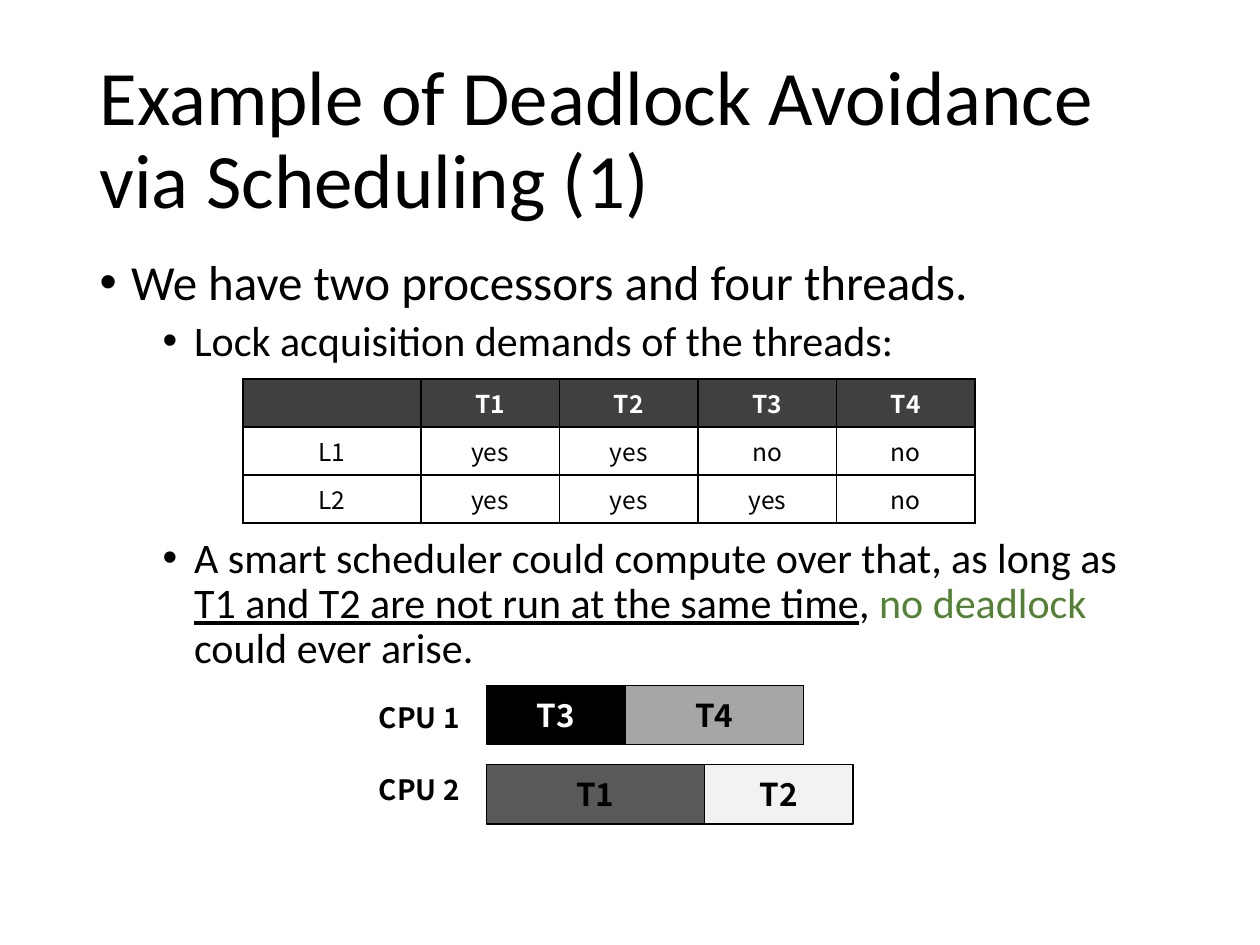
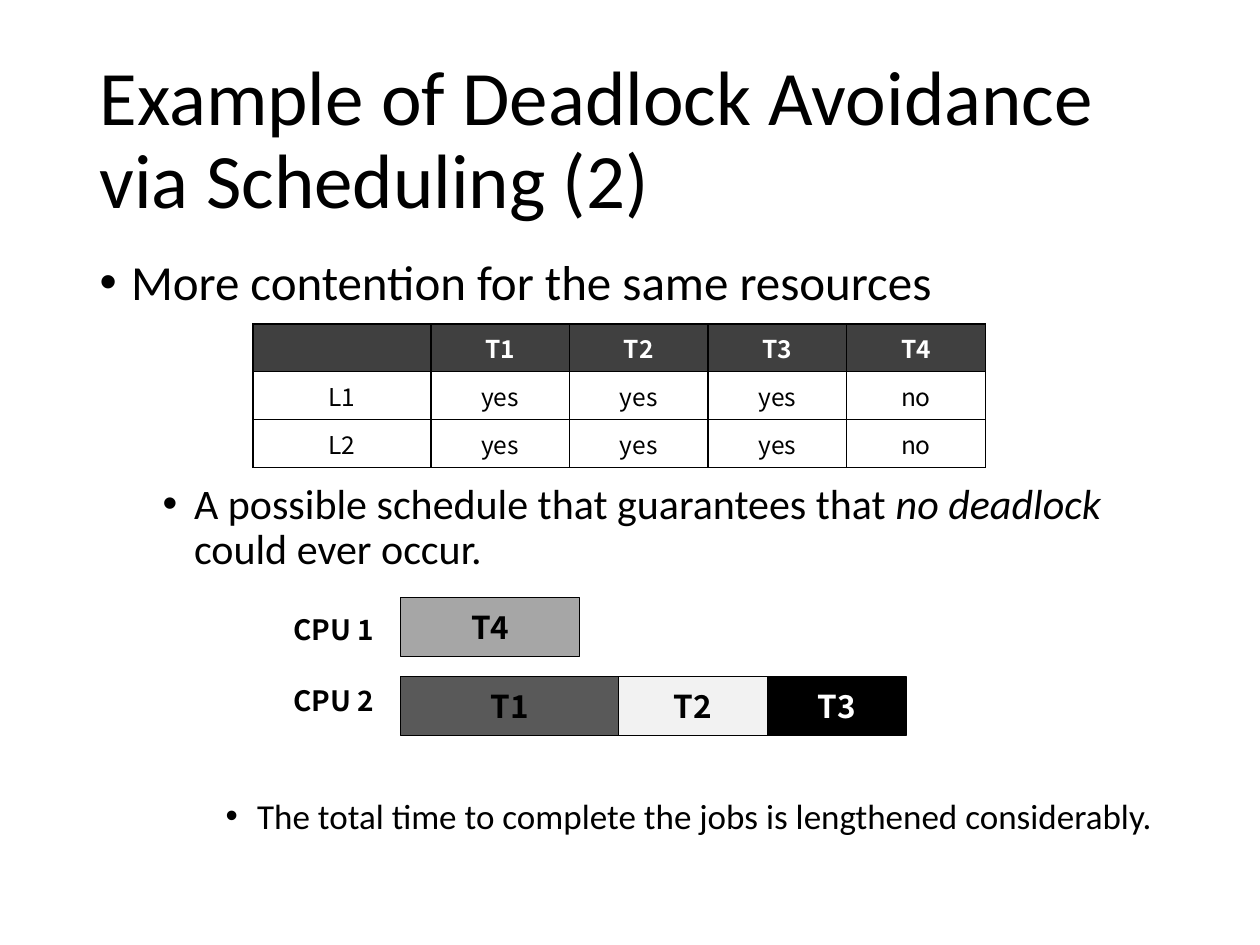
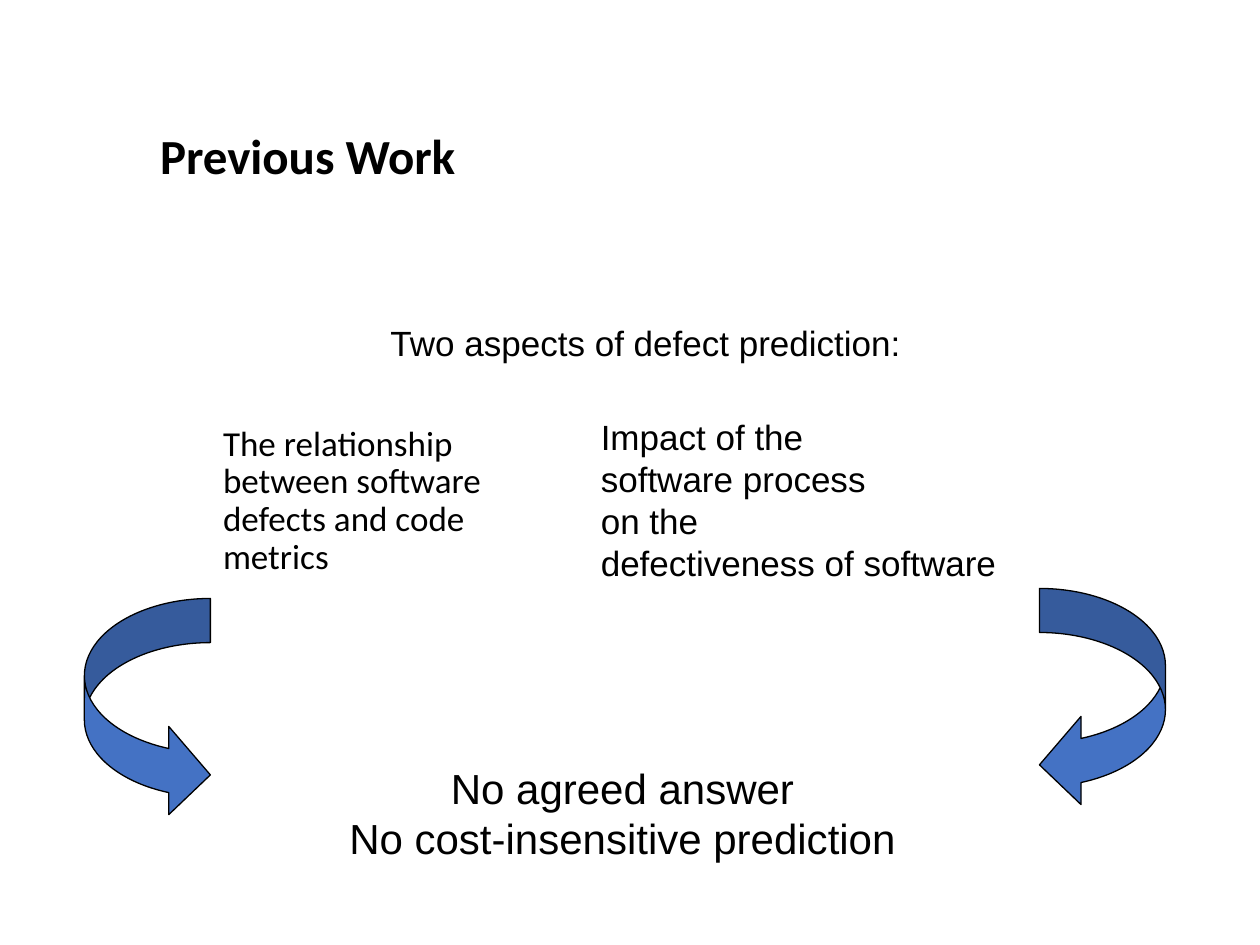
from lxml.etree import SubElement
from pptx import Presentation
from pptx.dml.color import RGBColor
from pptx.enum.shapes import MSO_SHAPE
from pptx.enum.text import MSO_ANCHOR, MSO_AUTO_SIZE, PP_ALIGN
from pptx.oxml.ns import qn
from pptx.util import Inches, Pt

# Shared look
BLACK = RGBColor(0x00, 0x00, 0x00)
WHITE = RGBColor(0xFF, 0xFF, 0xFF)
HEADER = RGBColor(0x40, 0x40, 0x40)
GREEN = RGBColor(0x54, 0x82, 0x35)
BLUE = RGBColor(0x44, 0x72, 0xC4)
MAIN_FONT, DIAGRAM_FONT, NOTE_FONT = "Calibri", "Noto Sans CJK KR", "Arial"

TITLE_BOX = (0.69, 0.4, 8.62, 1.45)
BODY_BOX = (0.69, 2, 8.62, 4.76)
LEVEL_SIZES = (28, 24, 20)
TABLE_GAP, CHART_GAP = 98, 129  # points left free in the list
ROW_H, LABEL_COL, THREAD_COL = 0.38, 1.41, 1.1
BAR_H, BAR_PITCH, BAR_OFFSET = 0.47, 0.63, 0.95

# Thread: bar width, fill, text colour
THREADS = {
    "T1": (1.73, RGBColor(0x59, 0x59, 0x59), BLACK),
    "T2": (1.18, RGBColor(0xF2, 0xF2, 0xF2), BLACK),
    "T3": (1.1, BLACK, WHITE),
    "T4": (1.42, RGBColor(0xA6, 0xA6, 0xA6), BLACK),
}


def inches(box):
    return [Inches(v) for v in box]


def style_run(r, size, name=MAIN_FONT, color=BLACK, bold=False,
              italic=False, underline=False):
    f = r.font
    f.size, f.name, f.bold = Pt(size), name, bold
    f.italic, f.underline = italic, underline
    f.color.rgb = color


def style_text(tf, size, name, color=BLACK, bold=False, align=PP_ALIGN.LEFT):
    for p in tf.paragraphs:
        p.alignment = align
        for r in p.runs:
            style_run(r, size, name, color, bold)


def place(sp, box):
    sp.left, sp.top, sp.width, sp.height = inches(box)
    sp.text_frame.auto_size = MSO_AUTO_SIZE.NONE


def add_title(s, box, text, size=44, bold=False):
    sp = s.shapes.title
    place(sp, box)
    tf = sp.text_frame
    tf.text = text
    tf.vertical_anchor = MSO_ANCHOR.MIDDLE
    style_text(tf, size, MAIN_FONT, bold=bold)
    tf.paragraphs[0].line_spacing = 0.9


def set_list_format(p, margin, indent, bullet):
    pPr = p._p.get_or_add_pPr()
    pPr.set("marL", str(Inches(margin)))
    pPr.set("indent", str(Inches(indent)))
    if bullet:
        SubElement(pPr, qn("a:buFont"), typeface="Arial")
        SubElement(pPr, qn("a:buChar"), char="•")
    else:
        SubElement(pPr, qn("a:buNone"))


def add_list(s, box, items):
    """Each item is (level, space before, runs); a run is (text, format)."""
    sp = s.placeholders[1]
    place(sp, box)
    tf = sp.text_frame
    for i, (level, space, runs) in enumerate(items):
        p = tf.add_paragraph() if i else tf.paragraphs[0]
        p.level = level
        p.line_spacing, p.space_before = 0.9, Pt(space)
        set_list_format(p, 0.25 + 0.5 * level, -0.25, True)
        for text, fmt in runs:
            r = p.add_run()
            r.text = text
            style_run(r, LEVEL_SIZES[level], **fmt)


def add_text(shapes, box, text, size, name, **fmt):
    tf = shapes.add_textbox(*inches(box)).text_frame
    tf.word_wrap = False
    tf.text = text
    style_text(tf, size, name, **fmt)


def set_borders(cell):
    tcPr = cell._tc.get_or_add_tcPr()
    for i, side in enumerate(("lnL", "lnR", "lnT", "lnB")):
        ln = tcPr.makeelement(qn("a:" + side), {"w": str(Pt(1))})
        fill = SubElement(ln, qn("a:solidFill"))
        SubElement(fill, qn("a:srgbClr"), val=str(BLACK))
        tcPr.insert(i, ln)


def add_lock_table(s, left, top, demands):
    """Lock demands: one row for each lock, one column for each thread."""
    rows = [["", *THREADS]] + [[lock, *row] for lock, row in demands.items()]
    widths = [LABEL_COL] + [THREAD_COL] * len(THREADS)
    box = (left, top, sum(widths), ROW_H * len(rows))
    table = s.shapes.add_table(len(rows), len(widths), *inches(box)).table
    for col, width in zip(table.columns, widths):
        col.width = Inches(width)
    for i, row in enumerate(rows):
        table.rows[i].height = Inches(ROW_H)
        for j, text in enumerate(row):
            cell = table.cell(i, j)
            cell.text = text
            cell.margin_top = cell.margin_bottom = 0
            cell.vertical_anchor = MSO_ANCHOR.MIDDLE
            cell.fill.solid()
            cell.fill.fore_color.rgb = WHITE if i else HEADER
            style_text(cell.text_frame, 14, DIAGRAM_FONT,
                       BLACK if i else WHITE, not i, PP_ALIGN.CENTER)
            set_borders(cell)


def add_preset(shapes, kind, box, fill):
    sp = shapes.add_shape(kind, *inches(box))
    sp.shadow.inherit = False
    sp.fill.solid()
    sp.fill.fore_color.rgb = fill
    sp.line.color.rgb = BLACK
    sp.line.width = Pt(0.75)
    return sp


def add_schedule(s, left, top, cpus):
    """One row of thread bars for each processor."""
    shapes = s.shapes.add_group_shape().shapes
    for i, threads in enumerate(cpus):
        add_text(shapes, (left, top + 0.07 + 0.57 * i, 0.86, 0.37),
                 f"CPU {i + 1}", 16, DIAGRAM_FONT, bold=True)
        x = left + BAR_OFFSET
        for thread in threads:
            width, fill, color = THREADS[thread]
            bar = add_preset(shapes, MSO_SHAPE.RECTANGLE,
                             (x, top + BAR_PITCH * i, width, BAR_H), fill)
            tf = bar.text_frame
            tf.text = thread
            tf.vertical_anchor = MSO_ANCHOR.MIDDLE
            style_text(tf, 18, DIAGRAM_FONT, color, True, PP_ALIGN.CENTER)
            x += width


def scheduling_slide(prs, number, items, table_at, demands, schedule_at, cpus):
    s = prs.slides.add_slide(prs.slide_layouts[1])
    add_title(s, TITLE_BOX,
              f"Example of Deadlock Avoidance via Scheduling ({number})")
    add_list(s, BODY_BOX, items)
    add_lock_table(s, *table_at, demands)
    add_schedule(s, *schedule_at, cpus)


def previous_work_slide(prs):
    s = prs.slides.add_slide(prs.slide_layouts[1])
    add_title(s, (1.17, 0.92, 8.5, 0.67), "Previous Work", 28, True)

    # Two aspects, side by side
    add_text(s.shapes, (3, 2.5, 4.26, 0.43),
             "Two aspects of defect prediction:", 20, NOTE_FONT)
    body = s.placeholders[1]
    place(body, (1.42, 3.33, 2.75, 1.5))
    tf = body.text_frame
    tf.text = "The relationship between software defects and code metrics"
    style_text(tf, 20, MAIN_FONT)
    p = tf.paragraphs[0]
    p.line_spacing, p.space_before = 0.9, Pt(0)
    set_list_format(p, 0.25, 0, False)
    add_text(s.shapes, (4.67, 3.25, 3.83, 1.43),
             "Impact of the\nsoftware process\non the\n"
             "defectiveness of software", 20, NOTE_FONT)

    # Conclusion and the arrows leading to it
    add_text(s.shapes, (2.67, 6, 4.54, 0.9),
             "No agreed answer\nNo cost-insensitive prediction", 24, NOTE_FONT,
             align=PP_ALIGN.CENTER)
    for kind, left, top in ((MSO_SHAPE.CURVED_RIGHT_ARROW, 0.67, 4.75),
                            (MSO_SHAPE.CURVED_LEFT_ARROW, 8.25, 4.67)):
        arrow = add_preset(s.shapes, kind, (left, top, 1, 1.75), BLUE)
        for i, value in enumerate((0.35, 0.7, 0.33)):
            arrow.adjustments[i] = value


def main():
    prs = Presentation()
    prs.slide_width, prs.slide_height = Inches(10), Inches(7.5)

    scheduling_slide(
        prs, 1,
        [(0, 0, [("We have two processors and four threads.", {})]),
         (1, 5, [("Lock acquisition demands of the threads:", {})]),
         (1, TABLE_GAP, [
             ("A smart scheduler could compute over that, as long as ", {}),
             ("T1 and T2 are not run at the same time", {"underline": True}),
             (", ", {}),
             ("no deadlock ", {"color": GREEN}),
             ("could ever arise.", {})])],
        (1.93, 3.01),
        {"L1": ("yes", "yes", "no", "no"), "L2": ("yes", "yes", "yes", "no")},
        (2.91, 5.44), [("T3", "T4"), ("T1", "T2")])

    scheduling_slide(
        prs, 2,
        [(0, 0, [("More contention for the same resources", {})]),
         (1, TABLE_GAP, [
             ("A possible schedule that guarantees that ", {}),
             ("no deadlock ", {"italic": True}),
             ("could ever occur.", {})]),
         (2, CHART_GAP, [("The total time to complete the jobs is "
                          "lengthened considerably.", {})])],
        (2.01, 2.57),
        {"L1": ("yes", "yes", "yes", "no"), "L2": ("yes", "yes", "yes", "no")},
        (2.23, 4.74), [("T4",), ("T1", "T2", "T3")])

    previous_work_slide(prs)
    prs.save("out.pptx")


if __name__ == "__main__":
    main()
